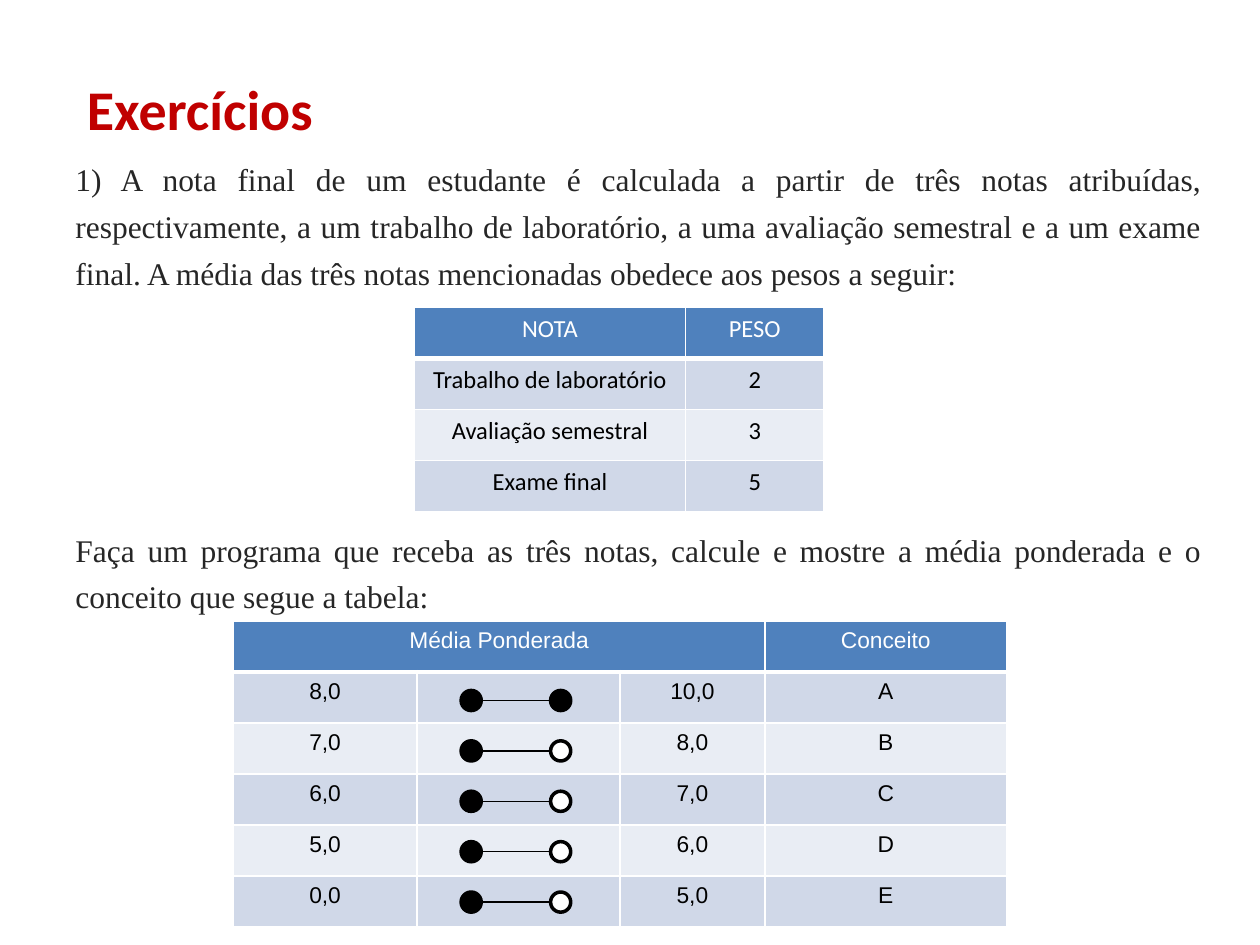
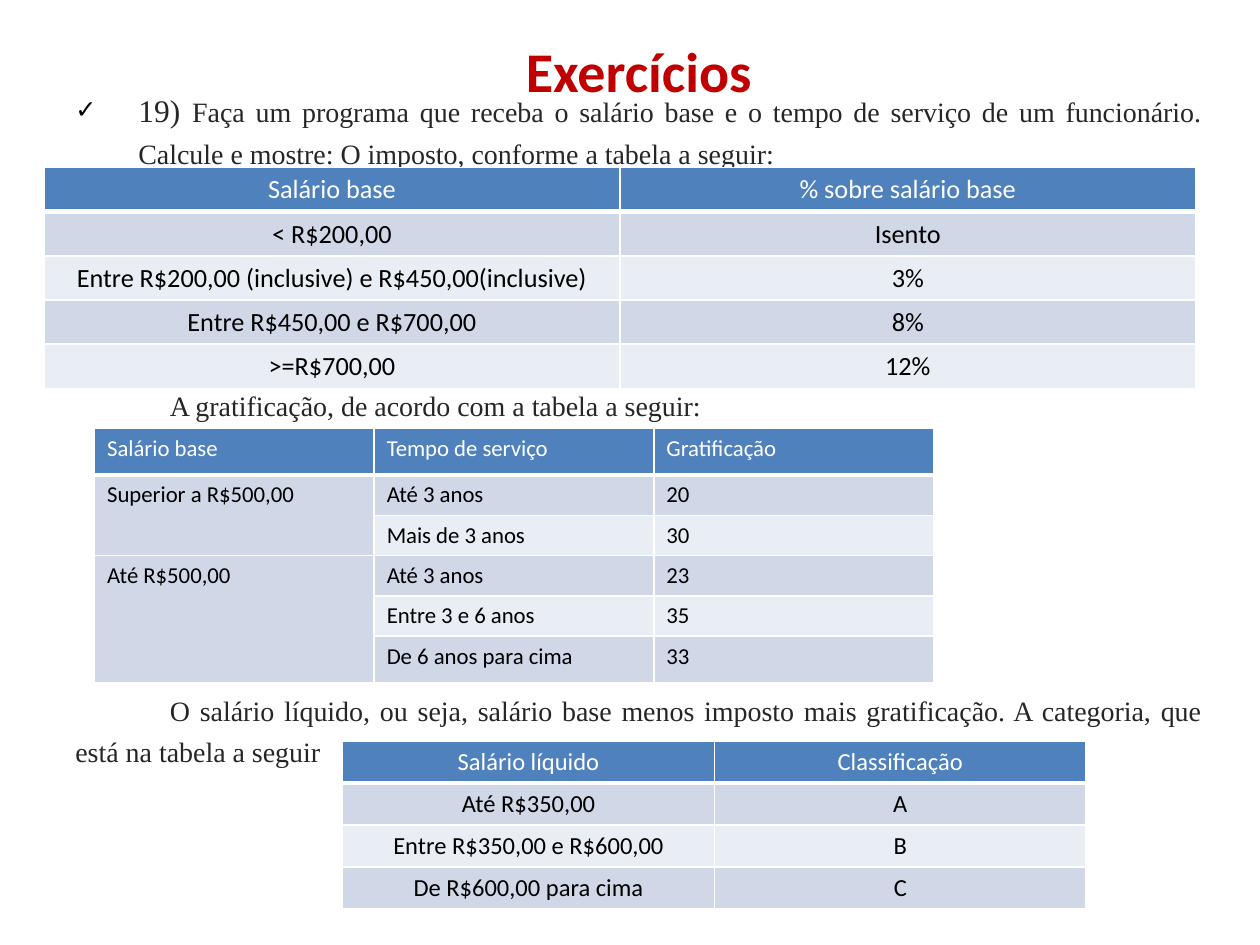
import dataclasses

import lxml.etree
import pptx
import pptx.dml.color
import pptx.enum.shapes
import pptx.enum.text
import pptx.oxml.ns
import pptx.util

Inches = pptx.util.Inches
Pt = pptx.util.Pt
qn = pptx.oxml.ns.qn
Align = pptx.enum.text.PP_ALIGN


@dataclasses.dataclass(frozen=True)
class Theme:
    title_color: str = "C00000"
    text_color: str = "262626"
    header_fill: str = "4F81BD"
    bands: tuple = ("E9EDF4", "D0D8E8")
    white: str = "FFFFFF"
    black: str = "000000"
    heading_font: str = "Calibri"
    body_font: str = "Times New Roman"
    range_font: str = "Arial"
    title_size: int = 32
    large: int = 18
    medium: int = 16
    line_spacing: float = 1.24


def rgb(value):
    return pptx.dml.color.RGBColor.from_string(value)


def add_element(parent, tag, **attributes):
    return lxml.etree.SubElement(parent, qn(tag), attributes)


class ExerciseDeck:
    def __init__(self, theme):
        self.theme = theme
        self.presentation = pptx.Presentation()
        self.presentation.slide_width = Inches(10)
        self.presentation.slide_height = Inches(7.5)
        self.slide = None

    def style_run(self, run, font, size, color, bold=False):
        run.font.name = font
        run.font.size = Pt(size)
        run.font.bold = bold
        run.font.color.rgb = rgb(color)

    def new_slide(self, title, left, top, width, height, align):
        layout = self.presentation.slide_layouts[5]
        self.slide = self.presentation.slides.add_slide(layout)
        shape = self.slide.shapes.title
        shape.left, shape.top = Inches(left), Inches(top)
        shape.width, shape.height = Inches(width), Inches(height)
        frame = shape.text_frame
        frame.text = title
        frame.auto_size = pptx.enum.text.MSO_AUTO_SIZE.NONE
        frame.vertical_anchor = pptx.enum.text.MSO_ANCHOR.MIDDLE
        paragraph = frame.paragraphs[0]
        paragraph.alignment = align
        self.style_run(paragraph.runs[0], self.theme.heading_font,
                       self.theme.title_size, self.theme.title_color, True)

    def statement(self, top, height, *pieces, margin=0.15, indent=0.0, bullet=None):
        """Add one justified paragraph made of (text, size) pieces."""
        box = self.slide.shapes.add_textbox(
            Inches(0.35), Inches(top), Inches(9.29), Inches(height))
        box.text_frame.word_wrap = True
        paragraph = box.text_frame.paragraphs[0]
        paragraph.alignment = Align.JUSTIFY
        paragraph.line_spacing = self.theme.line_spacing
        properties = paragraph._p.get_or_add_pPr()
        properties.set("marL", str(Inches(margin)))
        properties.set("indent", str(Inches(indent)))
        if bullet:
            color = add_element(properties, "a:buClr")
            add_element(color, "a:srgbClr", val=self.theme.black)
            add_element(properties, "a:buSzPct", val="80000")
            add_element(properties, "a:buFont", typeface=self.theme.range_font)
            add_element(properties, "a:buChar", char=bullet)
        for text, size in pieces:
            run = paragraph.add_run()
            run.text = text
            self.style_run(run, self.theme.body_font, size, self.theme.text_color)

    def cell_borders(self, cell, bottom):
        properties = cell._tc.get_or_add_tcPr()
        widths = {"a:lnL": 1, "a:lnR": 1, "a:lnT": 1, "a:lnB": bottom}
        for index, (tag, width) in enumerate(widths.items()):
            line = add_element(properties, tag, w=str(Pt(width)))
            fill = add_element(line, "a:solidFill")
            add_element(fill, "a:srgbClr", val=self.theme.white)
            properties.insert(index, line)

    def table(self, left, top, columns, heights, rows, size, font=None,
              align=Align.CENTER, merges=()):
        """Add a banded table; merges holds (first row, column, last row, column)."""
        frame = self.slide.shapes.add_table(
            len(rows), len(columns), Inches(left), Inches(top),
            Inches(sum(columns)), Inches(sum(heights)))
        table = frame.table
        for column, width in zip(table.columns, columns):
            column.width = Inches(width)
        for row, height in zip(table.rows, heights):
            row.height = Inches(height)
        for r, texts in enumerate(rows):
            header = r == 0
            for c, text in enumerate(texts):
                cell = table.cell(r, c)
                cell.fill.solid()
                cell.fill.fore_color.rgb = rgb(
                    self.theme.header_fill if header else self.theme.bands[r % 2])
                self.cell_borders(cell, 3 if header else 1)
                if not text:
                    continue
                paragraph = cell.text_frame.paragraphs[0]
                paragraph.text = text
                paragraph.alignment = align
                self.style_run(paragraph.runs[0], font or self.theme.heading_font,
                               size, self.theme.white if header else self.theme.black)
        for first_row, first_column, last_row, last_column in merges:
            table.cell(first_row, first_column).merge(
                table.cell(last_row, last_column))

    def endpoint(self, left, center, diameter, fill):
        shape = self.slide.shapes.add_shape(
            pptx.enum.shapes.MSO_SHAPE.OVAL, Inches(left),
            Inches(center - diameter / 2), Inches(diameter), Inches(diameter))
        shape.shadow.inherit = False
        shape.fill.solid()
        shape.fill.fore_color.rgb = rgb(fill)
        shape.line.color.rgb = rgb(self.theme.black)
        shape.line.width = Pt(2)

    def interval(self, center, closed):
        """Draw a range whose right end is included only when closed."""
        left, right, diameter = 3.66, 4.37, 0.16
        self.endpoint(left, center, diameter, self.theme.black)
        line = self.slide.shapes.add_connector(
            pptx.enum.shapes.MSO_CONNECTOR.STRAIGHT, Inches(left + diameter),
            Inches(center), Inches(right), Inches(center))
        line.line.color.rgb = rgb(self.theme.black)
        line.line.width = Pt(0.75)
        add_element(line._element.spPr, "a:effectLst")
        self.endpoint(right, center, diameter,
                      self.theme.black if closed else self.theme.white)


def weighted_average_slide(deck):
    large = deck.theme.large
    deck.new_slide("Exercícios", 0.59, 0.6, 8.84, 0.51, Align.LEFT)
    deck.statement(1.15, 1.2, (
        "1) A nota final de um estudante é calculada a partir de três notas "
        "atribuídas, respectivamente, a um trabalho de laboratório, a uma avaliação "
        "semestral e a um exame final. A média das três notas mencionadas obedece "
        "aos pesos a seguir:", large))
    deck.table(3.29, 2.44, [2.15, 1.1], [1.62 / 4] * 4, [
        ("NOTA", "PESO"),
        ("Trabalho de laboratório", "2"),
        ("Avaliação semestral", "3"),
        ("Exame final", "5"),
    ], 14)
    deck.statement(4.09, 0.85, (
        "Faça um programa que receba as três notas, calcule e mostre a média "
        "ponderada e o conceito que segue a tabela:", large))
    grades = [
        ("8,0", "", "10,0", "A"),
        ("7,0", "", "8,0", "B"),
        ("6,0", "", "7,0", "C"),
        ("5,0", "", "6,0", "D"),
        ("0,0", "", "5,0", "E"),
    ]
    deck.table(1.85, 4.93, [1.46, 1.61, 1.15, 1.92], [2.43 / 6] * 6,
               [("Média Ponderada", "", "", "Conceito")] + grades,
               13, font=deck.theme.range_font, merges=[(0, 0, 0, 2)])
    for index in range(len(grades)):
        deck.interval(5.56 + 0.4 * index, closed=index == 0)


def salary_slide(deck):
    medium = deck.theme.medium
    deck.new_slide("Exercícios", 0.65, -0.11, 8.84, 1.34, Align.CENTER)
    deck.statement(
        0.6, 0.8, ("19) ", deck.theme.large),
        ("Faça um programa que receba o salário base e o tempo de serviço de um "
         "funcionário. Calcule e mostre: O imposto, conforme a tabela a seguir:",
         medium),
        margin=0.65, indent=-0.5, bullet="✓")
    deck.table(0.35, 1.33, [4.57, 4.57], [0.35] * 5, [
        ("Salário base", "% sobre salário base"),
        ("< R$200,00", "Isento"),
        ("Entre R$200,00 (inclusive) e R$450,00(inclusive)", "3%"),
        ("Entre R$450,00 e R$700,00", "8%"),
        (">=R$700,00", "12%"),
    ], 15)
    deck.statement(2.97, 0.42, (
        "A gratificação, de acordo com a tabela a seguir:", medium), indent=0.75)
    deck.statement(5.39, 0.75, (
        "O salário líquido, ou seja, salário base menos imposto mais gratificação. "
        "A categoria, que está na tabela a seguir", medium), indent=0.75)
    deck.table(2.72, 5.88, [2.95, 2.95], [1.33 / 4] * 4, [
        ("Salário líquido", "Classificação"),
        ("Até R$350,00", "A"),
        ("Entre R$350,00 e R$600,00", "B"),
        ("De R$600,00 para cima", "C"),
    ], 14)
    deck.table(0.75, 3.4, [2.22] * 3, [0.37] + [0.32] * 4 + [0.37], [
        ("Salário base", "Tempo de serviço", "Gratificação"),
        ("Superior a R$500,00", "Até 3 anos", "20"),
        ("", "Mais de 3 anos", "30"),
        ("Até R$500,00", "Até 3 anos", "23"),
        ("", "Entre 3 e 6 anos", "35"),
        ("", "De 6 anos para cima", "33"),
    ], 13, align=Align.LEFT, merges=[(1, 0, 2, 0), (3, 0, 5, 0)])


def main():
    deck = ExerciseDeck(Theme())
    weighted_average_slide(deck)
    salary_slide(deck)
    deck.presentation.save("out.pptx")


if __name__ == "__main__":
    main()
